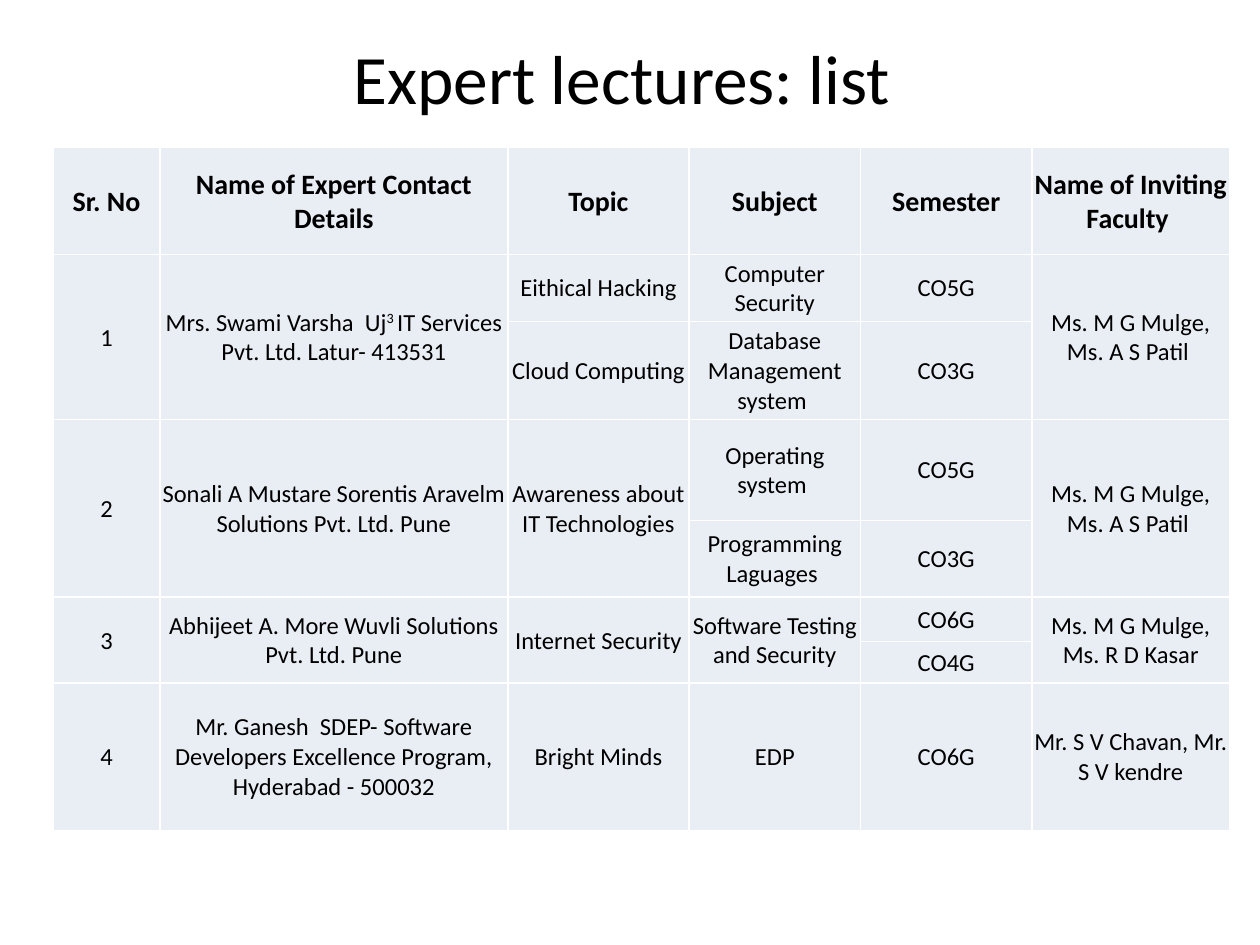
from dataclasses import dataclass

from lxml.etree import SubElement
from pptx import Presentation
from pptx.dml.color import RGBColor
from pptx.enum.text import MSO_ANCHOR, PP_ALIGN
from pptx.oxml.ns import qn
from pptx.util import Inches, Pt


@dataclass(frozen=True)
class Theme:
    font: str = "Calibri"
    ink: str = "000000"
    cell_fill: str = "E9EDF4"
    border: str = "FFFFFF"
    border_width: float = 1
    title_size: float = 39.6
    heading_size: float = 16
    body_size: float = 14


@dataclass(frozen=True)
class Entry:
    text: str
    rows: int = 1


@dataclass(frozen=True)
class Column:
    heading: str
    width: float
    entries: tuple[Entry, ...]


THEME = Theme()
ROW_HEIGHTS = (0.85, 0.53, 0.78, 0.8, 0.61, 0.35, 0.33, 1.17)

# Text between bars is set as superscript.
COLUMNS = (
    Column("Sr. No", 0.85, (Entry("1", 2), Entry("2", 2), Entry("3", 2), Entry("4"))),
    Column("Name of Expert Contact Details", 2.76, (
        Entry("Mrs. Swami Varsha  Uj|3 |IT Services Pvt. Ltd. Latur- 413531", 2),
        Entry("Sonali A Mustare Sorentis Aravelm Solutions Pvt. Ltd. Pune", 2),
        Entry("Abhijeet A. More Wuvli Solutions Pvt. Ltd. Pune", 2),
        Entry("Mr. Ganesh  SDEP- Software Developers Excellence Program, "
              "Hyderabad - 500032"),
    )),
    Column("Topic", 1.44, (
        Entry("Eithical Hacking"),
        Entry("Cloud Computing"),
        Entry("Awareness about IT Technologies", 2),
        Entry("Internet Security", 2),
        Entry("Bright Minds"),
    )),
    Column("Subject", 1.36, (
        Entry("Computer Security"),
        Entry("Database Management system "),
        Entry("Operating system "),
        Entry("Programming Laguages "),
        Entry("Software Testing and Security", 2),
        Entry("EDP"),
    )),
    Column("Semester", 1.36, tuple(
        Entry(semester)
        for semester in ("CO5G", "CO3G", "CO5G", "CO3G", "CO6G", "CO4G", "CO6G")
    )),
    Column("Name of Inviting Faculty ", 1.57, (
        Entry("Ms. M G Mulge, Ms. A S Patil ", 2),
        Entry("Ms. M G Mulge, Ms. A S Patil ", 2),
        Entry("Ms. M G Mulge, Ms. R D Kasar", 2),
        Entry("Mr. S V Chavan, Mr. S V kendre"),
    )),
)


def style_paragraph(paragraph, size: float, bold: bool = False) -> None:
    paragraph.alignment = PP_ALIGN.CENTER
    font = paragraph.font
    font.name = THEME.font
    font.size = Pt(size)
    font.bold = bold
    font.color.rgb = RGBColor.from_string(THEME.ink)


def style_cell(cell) -> None:
    properties = cell._tc.get_or_add_tcPr()
    for side in ("a:lnL", "a:lnR", "a:lnT", "a:lnB"):
        line = SubElement(properties, qn(side), w=str(Pt(THEME.border_width)))
        SubElement(SubElement(line, qn("a:solidFill")), qn("a:srgbClr"), val=THEME.border)
    cell.fill.solid()
    cell.fill.fore_color.rgb = RGBColor.from_string(THEME.cell_fill)
    cell.vertical_anchor = MSO_ANCHOR.MIDDLE
    cell.margin_left = cell.margin_right = cell.margin_top = Inches(0.01)
    cell.margin_bottom = 0


def write_cell(cell, text: str, size: float, bold: bool = False) -> None:
    """Write text, raising the parts that stand between bars."""
    paragraph = cell.text_frame.paragraphs[0]
    for position, part in enumerate(text.split("|")):
        run = paragraph.add_run()
        run.text = part
        if position % 2:
            run.font._element.set("baseline", "30000")
    style_paragraph(paragraph, size, bold)


def add_title(slide, text: str) -> None:
    title = slide.shapes.title
    title.left, title.top = Inches(0.5), Inches(0.3)
    title.width, title.height = Inches(9), Inches(0.62)
    title.text_frame.text = text
    title.text_frame.vertical_anchor = MSO_ANCHOR.MIDDLE
    style_paragraph(title.text_frame.paragraphs[0], THEME.title_size)


def add_lecture_table(slide) -> None:
    table = slide.shapes.add_table(
        len(ROW_HEIGHTS), len(COLUMNS), Inches(0.42), Inches(1.17),
        Inches(sum(column.width for column in COLUMNS)), Inches(sum(ROW_HEIGHTS)),
    ).table
    table.first_row = table.horz_banding = False
    for row, height in zip(table.rows, ROW_HEIGHTS):
        row.height = Inches(height)
    for cell in table.iter_cells():
        style_cell(cell)
    for index, column in enumerate(COLUMNS):
        table.columns[index].width = Inches(column.width)
        write_cell(table.cell(0, index), column.heading, THEME.heading_size, bold=True)
        row = 1
        for entry in column.entries:
            cell = table.cell(row, index)
            if entry.rows > 1:
                cell.merge(table.cell(row + entry.rows - 1, index))
            write_cell(cell, entry.text, THEME.body_size)
            row += entry.rows


def main() -> None:
    presentation = Presentation()
    presentation.slide_width, presentation.slide_height = Inches(10), Inches(7.5)
    slide = presentation.slides.add_slide(presentation.slide_layouts.get_by_name("Title Only"))
    add_title(slide, "Expert lectures: list ")
    add_lecture_table(slide)
    presentation.save("out.pptx")


if __name__ == "__main__":
    main()
